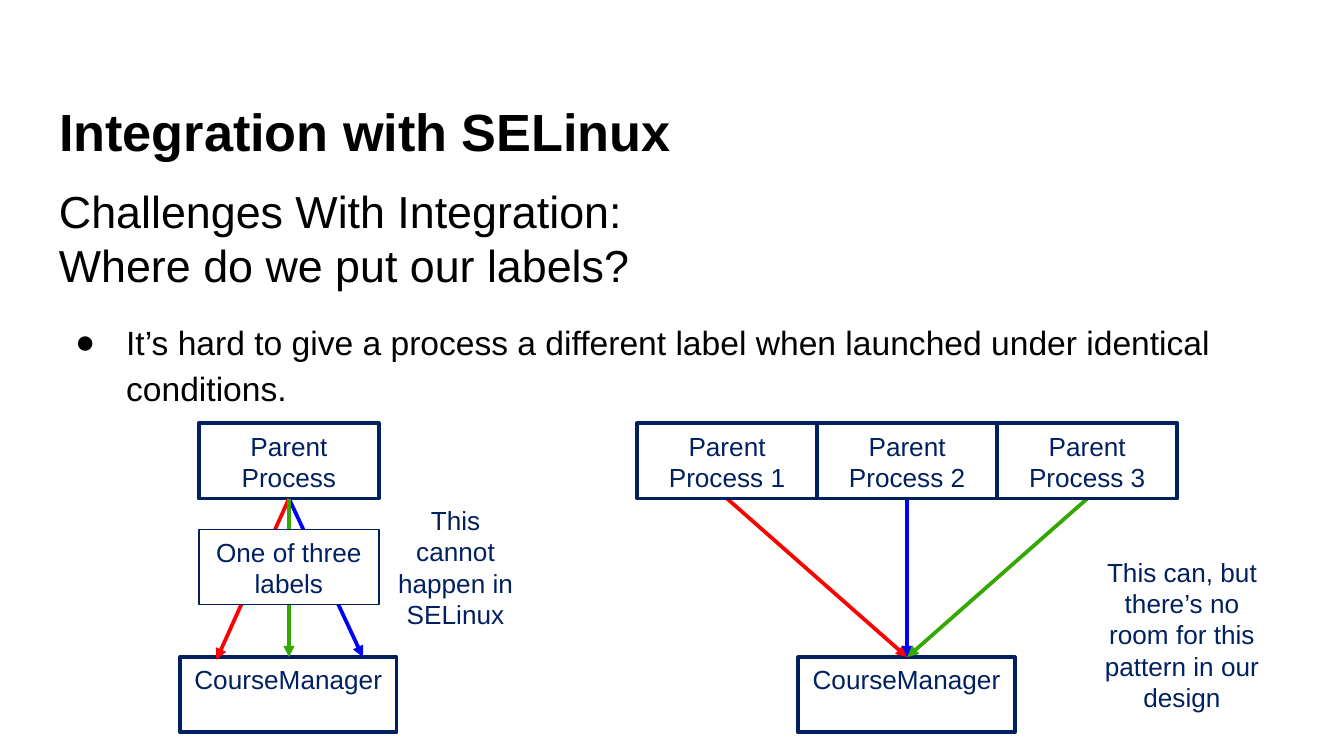
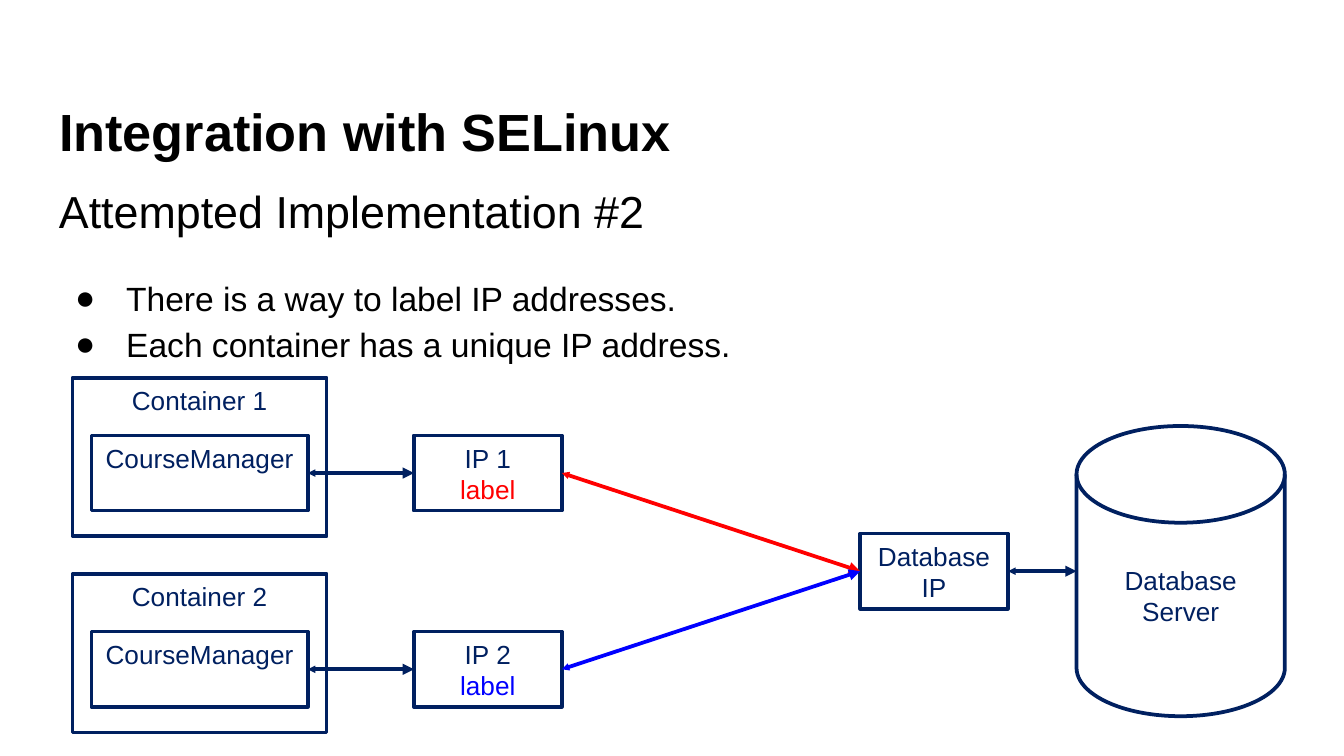
"""Build two slides about labelling processes and addresses with SELinux."""
from dataclasses import dataclass, field
from typing import Any, NamedTuple

from lxml import etree
from pptx import Presentation
from pptx.dml import color as dml
from pptx.enum import shapes, text
from pptx.oxml import ns
from pptx import util as u

EMU_PER_PX = 9144


@dataclass(frozen=True)
class Theme:
    """Colours and type sizes of the deck."""

    font: str = "Arial"
    black: str = "000000"
    white: str = "FFFFFF"
    navy: str = "002060"
    red: str = "FF0000"
    blue: str = "0000FF"
    green: str = "34A700"
    title_size: int = 28
    subtitle_size: int = 24
    body_size: int = 18
    label_size: int = 14
    bold_line: float = 2
    thin_line: float = 0.75


THEME = Theme()


class Box(NamedTuple):
    """Place and size in px, 100 px to the inch."""

    left: int
    top: int
    width: int
    height: int

    @property
    def middle(self) -> int:
        """Vertical centre."""
        return self.top + self.height // 2

    @property
    def right(self) -> int:
        """Right edge."""
        return self.left + self.width

    @property
    def bottom_centre(self) -> tuple[int, int]:
        """Centre of the lower edge."""
        return self.left + self.width // 2, self.top + self.height


class Style(NamedTuple):
    """Look of a text frame."""

    size: int
    color: str
    bold: bool = False
    centred: bool = False
    bulleted: bool = False
    inset: int = 10
    anchor: Any = text.MSO_ANCHOR.TOP


TITLE = Style(THEME.title_size, THEME.black, bold=True)
SUBTITLE = Style(THEME.subtitle_size, THEME.black)
BODY = Style(THEME.body_size, THEME.black, bulleted=True)
LABEL = Style(THEME.label_size, THEME.navy, centred=True, inset=5)
MIDDLE_LABEL = LABEL._replace(anchor=text.MSO_ANCHOR.MIDDLE)


class Line(NamedTuple):
    """One paragraph, with its own colour if it has one."""

    words: str
    color: str = ""


@dataclass(frozen=True)
class Node:
    """An outlined shape with a label."""

    box: Box
    lines: list[Line]
    outline: float = THEME.bold_line
    kind: Any = shapes.MSO_SHAPE.RECTANGLE
    style: Style = LABEL


@dataclass(frozen=True)
class Note:
    """Free text beside a diagram."""

    box: Box
    words: str


@dataclass(frozen=True)
class Arrow:
    """A straight arrow, with one head or two."""

    start: tuple[int, int]
    end: tuple[int, int]
    color: str = THEME.navy
    double: bool = False


@dataclass(frozen=True)
class Content:
    """What one slide shows."""

    subtitle: list[Line]
    bullets: list[Line]
    bullets_top: int
    items: list[Any] = field(default_factory=list)


def px(length: int) -> u.Emu:
    """Turn px into EMU."""
    return u.Emu(length * EMU_PER_PX)


def rgb(value: str) -> dml.RGBColor:
    """Turn a hex string into a colour."""
    return dml.RGBColor.from_string(value)


def add_element(parent: Any, tag: str, **attributes: str) -> Any:
    """Append a DrawingML element."""
    return etree.SubElement(parent, ns.qn(tag), attributes)


def add_bullet(para: Any) -> None:
    """Give a paragraph a hanging round bullet."""
    para.line_spacing = 1.15
    properties = para._p.get_or_add_pPr()
    properties.set("marL", str(px(50)))
    properties.set("indent", str(px(-38)))
    tint = add_element(properties, "a:buClr")
    add_element(tint, "a:srgbClr", val=THEME.black)
    add_element(properties, "a:buFont", typeface=THEME.font)
    add_element(properties, "a:buChar", char="●")


def write(shape: Any, lines: list[Line], style: Style) -> None:
    """Fill a shape with formatted paragraphs."""
    frame = shape.text_frame
    frame.word_wrap = True
    frame.auto_size = text.MSO_AUTO_SIZE.NONE
    frame.vertical_anchor = style.anchor
    frame.margin_left = frame.margin_right = px(10)
    frame.margin_top = frame.margin_bottom = px(style.inset)
    for index, line in enumerate(lines):
        para = frame.add_paragraph() if index else frame.paragraphs[0]
        para.alignment = text.PP_ALIGN.CENTER if style.centred else text.PP_ALIGN.LEFT
        if style.bulleted:
            add_bullet(para)
        span = para.add_run()
        span.text = line.words
        span.font.name = THEME.font
        span.font.size = u.Pt(style.size)
        span.font.bold = style.bold
        span.font.color.rgb = rgb(line.color or style.color)


def add_text(page: Any, box: Box, lines: list[Line], style: Style) -> None:
    """Add a text box."""
    write(page.shapes.add_textbox(*map(px, box)), lines, style)


def add_node(page: Any, node: Node) -> None:
    """Add an outlined shape with its label."""
    shape = page.shapes.add_shape(node.kind, *map(px, node.box))
    shape.shadow.inherit = False
    shape.fill.solid()
    shape.fill.fore_color.rgb = rgb(THEME.white)
    shape.line.color.rgb = rgb(THEME.navy)
    shape.line.width = u.Pt(node.outline)
    write(shape, node.lines, node.style)


def add_arrow(page: Any, arrow: Arrow) -> None:
    """Add a straight arrow."""
    ends = map(px, (*arrow.start, *arrow.end))
    connector = page.shapes.add_connector(shapes.MSO_CONNECTOR.STRAIGHT, *ends)
    connector.line.color.rgb = rgb(arrow.color)
    connector.line.width = u.Pt(THEME.bold_line)
    outline = connector.line._get_or_add_ln()
    if arrow.double:
        add_element(outline, "a:headEnd", type="triangle", w="sm", len="sm")
    add_element(outline, "a:tailEnd", type="triangle")
    add_element(connector._element.spPr, "a:effectLst")


def add_page(deck: Any, content: Content) -> None:
    """Add a slide with its title, text and diagram."""
    page = deck.slides.add_slide(deck.slide_layouts[5])
    title = page.shapes.title
    title.left, title.top, title.width, title.height = map(px, Box(34, 64, 932, 63))
    write(title, [Line("Integration with SELinux")], TITLE)
    add_text(page, Box(34, 127, 932, 98), content.subtitle, SUBTITLE)
    add_text(page, Box(34, content.bullets_top, 932, 90), content.bullets, BODY)
    for item in content.items:
        if isinstance(item, Node):
            add_node(page, item)
        elif isinstance(item, Arrow):
            add_arrow(page, item)
        else:
            add_text(page, item.box, [Line(item.words)], MIDDLE_LABEL)


def course_manager(left: int, top: int) -> Node:
    """Describe a CourseManager box."""
    return Node(Box(left, top, 161, 56), [Line("CourseManager")])


def label_challenge() -> Content:
    """Describe the slide on where labels go."""
    parent = Box(148, 315, 134, 56)
    manager_top = 489
    start = parent.bottom_centre
    targets = (
        ((161, 491), THEME.red),
        ((270, manager_top), THEME.blue),
        ((start[0], manager_top), THEME.green),
    )
    parents = [parent._replace(left=474 + index * parent.width) for index in range(3)]
    meeting = (parents[1].bottom_centre[0], manager_top)
    colors = (THEME.red, THEME.blue, THEME.green)
    items = [
        Node(parent, [Line("Parent Process")]),
        course_manager(134, manager_top),
        *(Arrow(start, end, color) for end, color in targets),
        Node(parent._replace(top=394), [Line("One of three labels")], THEME.thin_line),
        Note(Box(281, 373, 116, 98), "This cannot happen in SELinux"),
        course_manager(594, manager_top),
        *(Arrow(box.bottom_centre, meeting, color) for box, color in zip(parents, colors)),
        Note(Box(803, 413, 153, 118), "This can, but there’s no room for this pattern in our design"),
        *(Node(box, [Line(f"Parent Process {number}")]) for number, box in enumerate(parents, 1)),
    ]
    subtitle = [Line("Challenges With Integration:"), Line("Where do we put our labels?")]
    bullet = "It’s hard to give a process a different label when launched under identical conditions."
    return Content(subtitle, [Line(bullet)], 225, items)


def address_labels() -> Content:
    """Describe the slide on labelled IP addresses."""
    database = Box(640, 397, 110, 56)
    server = Box(801, 317, 155, 216)
    items: list[Any] = [
        Node(database, [Line("Database IP")]),
        Node(server, [Line("Database Server")], kind=shapes.MSO_SHAPE.FLOWCHART_MAGNETIC_DISK,
             style=MIDDLE_LABEL),
        Arrow((database.right, database.middle), (server.left, server.middle), double=True),
    ]
    for number, color in enumerate((THEME.red, THEME.blue), 1):
        top = 281 + (number - 1) * 146
        manager = course_manager(68, top + 43)
        address = Box(308, top + 43, 110, 56)
        level = address.middle
        items += [
            Node(Box(54, top, 189, 118), [Line(f"Container {number}")]),
            manager,
            Node(address, [Line(f"IP {number}"), Line("label", color)]),
            Arrow((manager.box.right, level), (address.left, level), double=True),
            Arrow((address.right, level), (database.left, database.middle), color, True),
        ]
    bullets = [
        Line("There is a way to label IP addresses."),
        Line("Each container has a unique IP address."),
    ]
    return Content([Line("Attempted Implementation #2")], bullets, 192, items)


def main() -> None:
    """Build and save the deck in 16:9."""
    deck = Presentation()
    deck.slide_width = px(1000)
    deck.slide_height = u.Emu(deck.slide_width * 9 // 16)
    for content in (label_challenge(), address_labels()):
        add_page(deck, content)
    deck.save("out.pptx")


if __name__ == "__main__":
    main()
